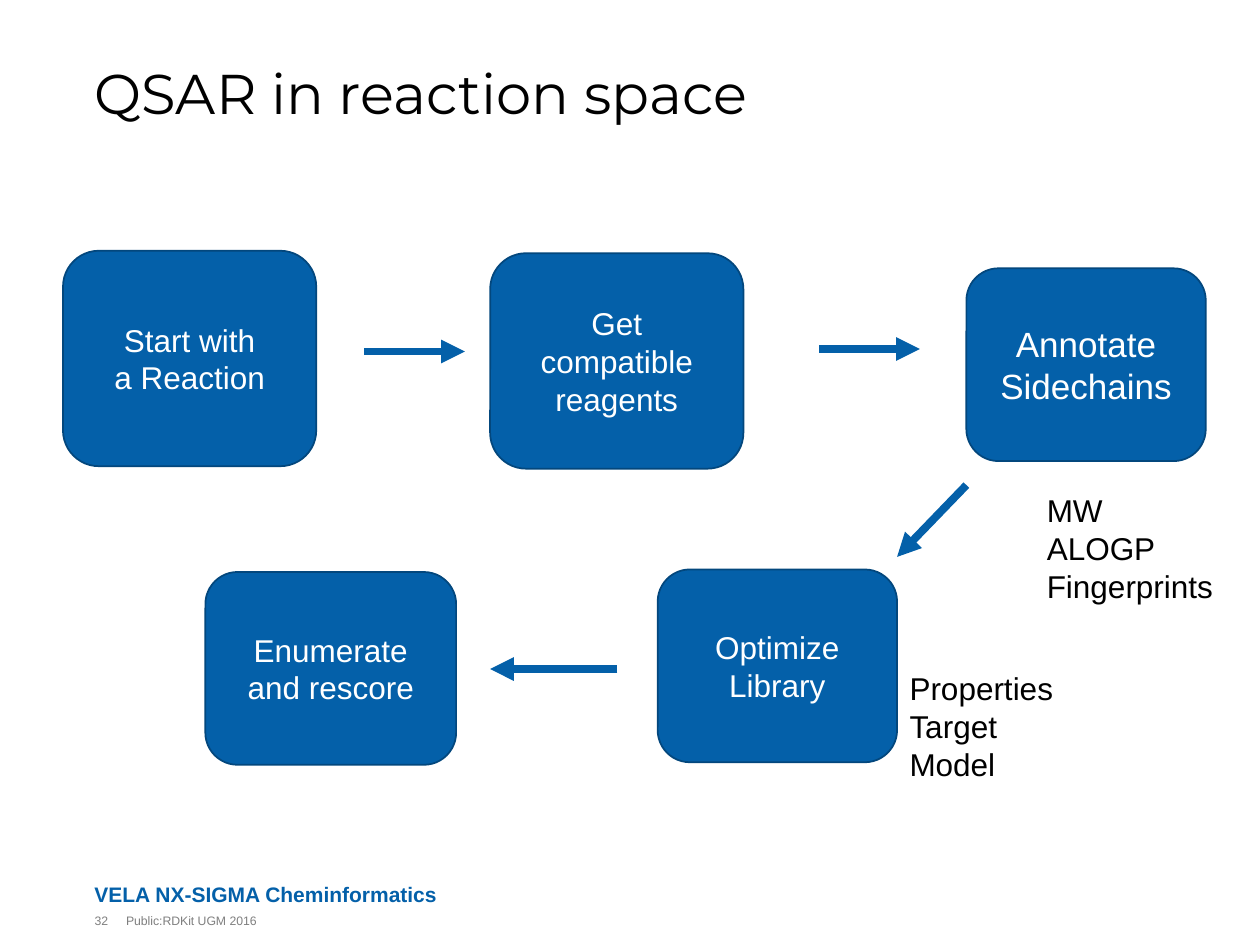
from lxml import etree
from pptx import Presentation
from pptx import util as u
from pptx.dml.color import RGBColor
from pptx.enum import shapes, text
from pptx.oxml.ns import qn

BLUE = RGBColor(0x04, 0x60, 0xA9)
DARK_BLUE = RGBColor(0x03, 0x47, 0x7D)
GRAY = RGBColor(0x7F, 0x7F, 0x7F)
BLACK = RGBColor(0x00, 0x00, 0x00)
WHITE = RGBColor(0xFF, 0xFF, 0xFF)

deck = Presentation()
deck.slide_width, deck.slide_height = u.Inches(10), u.Inches(7.5)
page = deck.slides.add_slide(deck.slide_layouts[5])

# Grid of 100 columns by 75 rows
COL = deck.slide_width / 100
ROW = deck.slide_height / 75


def place(left, top, width, height):
    return [round(n * unit) for n, unit in
            ((left, COL), (top, ROW), (width, COL), (height, ROW))]


def write(box, lines, size, color, align=text.PP_ALIGN.LEFT, font="Arial", bold=False):
    frame = box.text_frame
    frame.text = "\n".join(lines)
    for para in frame.paragraphs:
        para.alignment = align
        para.font.name, para.font.size, para.font.bold = font, u.Pt(size), bold
        para.font.color.rgb = color
    return frame


# Title
title = page.shapes.title
title.left, title.top, title.width, title.height = place(7.5, 5, 85, 10.5)
frame = write(title, ["QSAR in reaction space"], 32, BLACK, font="Montserrat")
frame.margin_left = frame.margin_right = frame.margin_top = frame.margin_bottom = 0
frame.vertical_anchor = text.MSO_ANCHOR.TOP
frame.paragraphs[0].line_spacing = 0.95

# Workflow steps
steps = [
    (5, 19.9, 20.1, 17.1, 18, ["Start with", "a Reaction"]),
    (38.9, 20.1, 20.1, 17.1, 18, ["Get compatible", "reagents"]),
    (76.7, 21.3, 19, 15.3, 20, ["Annotate Sidechains"]),
    (52.2, 45.2, 19, 15.3, 18, ["Optimize", "Library"]),
    (16.3, 45.4, 19.9, 15.3, 18, ["Enumerate", "and rescore"]),
]
for left, top, width, height, size, lines in steps:
    box = page.shapes.add_shape(shapes.MSO_SHAPE.ROUNDED_RECTANGLE,
                                *place(left, top, width, height))
    box.shadow.inherit = False
    box.fill.solid()
    box.fill.fore_color.rgb = BLUE
    box.line.color.rgb = DARK_BLUE
    box.line.width = u.Pt(1)
    frame = write(box, lines, size, WHITE, text.PP_ALIGN.CENTER)
    frame.vertical_anchor = text.MSO_ANCHOR.MIDDLE

# Arrows between the steps, in free space
arrows = [
    (28.9, 27.9, 36.9, 27.9),
    (65, 27.7, 73, 27.7),
    (76.7, 38.5, 71.2, 44.2),
    (49, 53.1, 38.9, 53.1),
]
for ends in arrows:
    arrow = page.shapes.add_connector(shapes.MSO_CONNECTOR.STRAIGHT, *place(*ends))
    arrow.line.color.rgb = BLUE
    arrow.line.width = u.Pt(4.5)
    etree.SubElement(arrow.line._get_or_add_ln(), qn("a:tailEnd"), type="triangle")
    etree.SubElement(arrow._element.spPr, qn("a:effectLst"))

# Notes beside the steps
notes = [
    (82.1, 38.5, 15.3, ["MW", "ALOGP", "Fingerprints"]),
    (71.2, 52.6, 13.5, ["Properties", "Target", "Model"]),
]
for left, top, width, lines in notes:
    note = page.shapes.add_textbox(*place(left, top, width, 10.1))
    frame = write(note, lines, 18, BLACK)
    frame.word_wrap = False
    frame.auto_size = text.MSO_AUTO_SIZE.SHAPE_TO_FIT_TEXT

# Footer
TOP, BOTTOM = text.MSO_ANCHOR.TOP, text.MSO_ANCHOR.BOTTOM
footers = [
    (7.5, 69.5, 65, "VELA NX-SIGMA Cheminformatics", 12, BLUE, True, BOTTOM),
    (7.5, 72.5, 2.5, "32", 7, GRAY, False, TOP),
    (10, 72.5, 62.5, "Public:RDKit UGM 2016", 7, GRAY, False, TOP),
]
for left, top, width, line, size, color, bold, anchor in footers:
    footer = page.shapes.add_textbox(*place(left, top, width, 2.5))
    frame = write(footer, [line], size, color, bold=bold)
    frame.margin_left = frame.margin_right = frame.margin_top = frame.margin_bottom = 0
    frame.word_wrap = True
    frame.vertical_anchor = anchor

deck.save("out.pptx")
